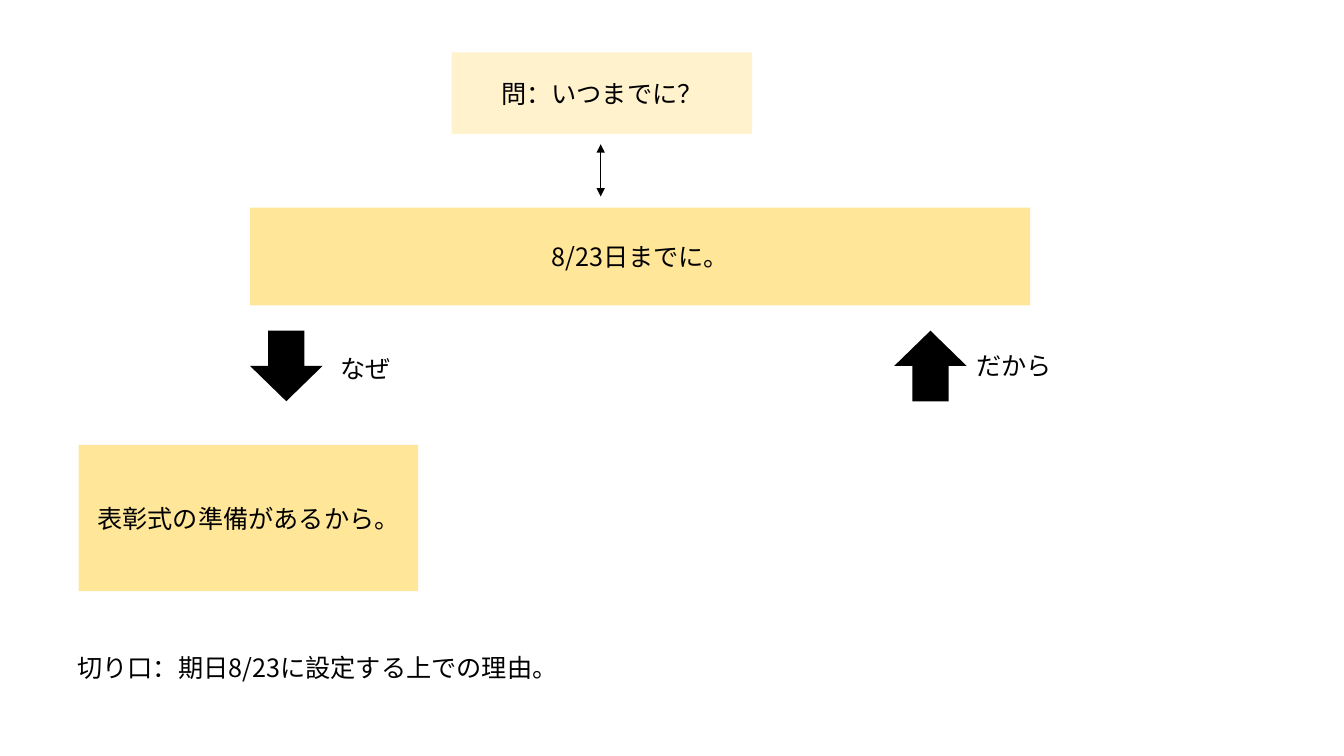
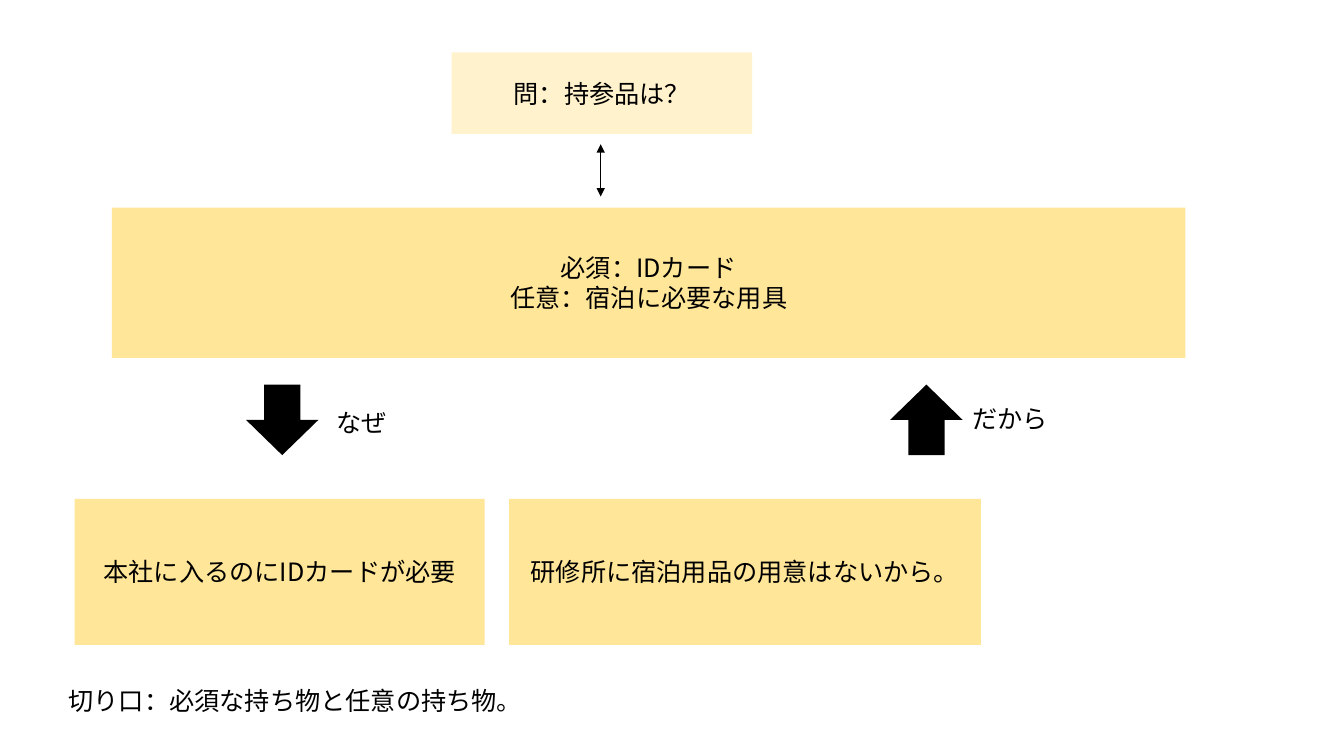
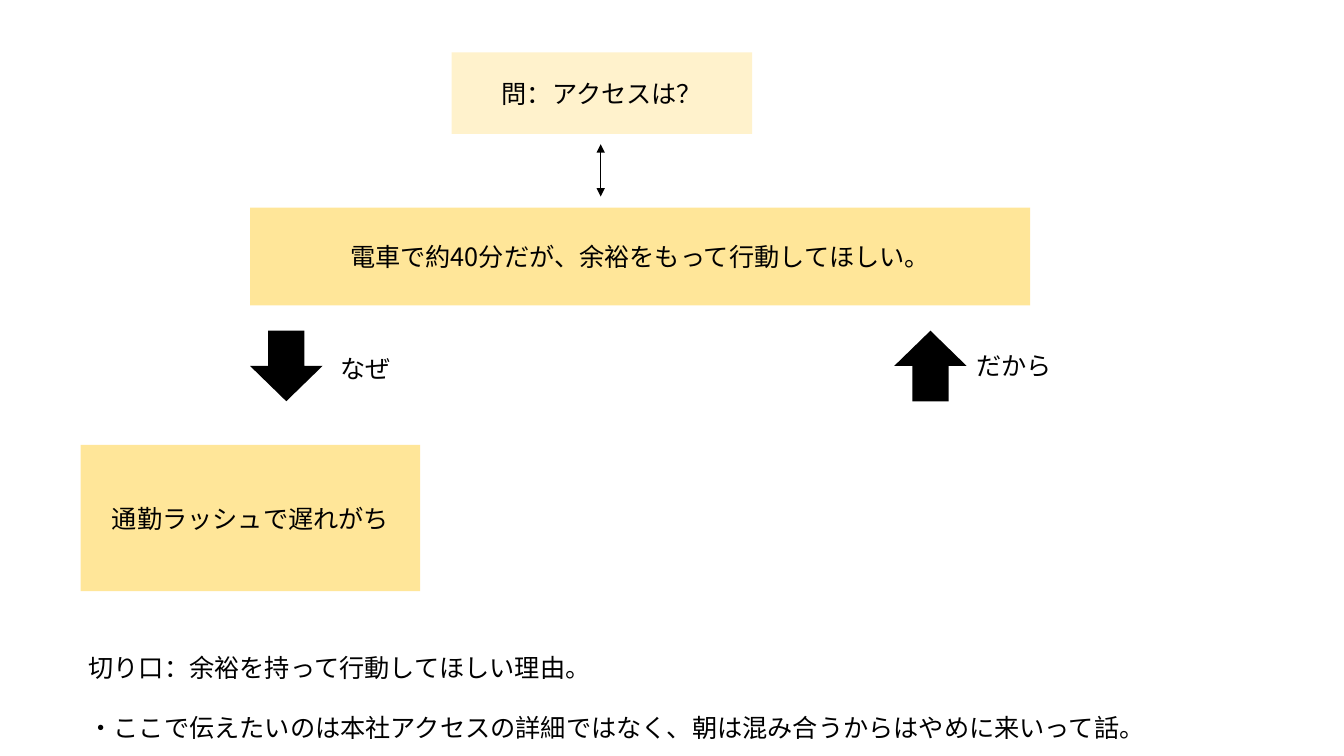
from lxml import etree
from pptx import Presentation
from pptx.dml.color import RGBColor
from pptx.enum.shapes import MSO_CONNECTOR, MSO_SHAPE
from pptx.enum.text import MSO_ANCHOR, PP_ALIGN
from pptx.oxml.ns import qn
from pptx.util import Pt

LINE = MSO_CONNECTOR.STRAIGHT
RECT, DOWN = MSO_SHAPE.RECTANGLE, MSO_SHAPE.DOWN_ARROW
TOP, MIDDLE = MSO_ANCHOR.TOP, MSO_ANCHOR.MIDDLE
LEFT, CENTER = PP_ALIGN.LEFT, PP_ALIGN.CENTER

FONT = "Noto Sans CJK JP"
COLORS = {"ink": "000000", "ask": "FFF2CC", "box": "FFE699"}
SIZE = 18
GAP = 21.6
INK = RGBColor.from_string(COLORS["ink"])


def add_shape(slide, kind, box, color, turn=0):
    """Add a plain filled shape without outline or shadow."""
    shape = slide.shapes.add_shape(kind, *map(Pt, box))
    shape.shadow.inherit = False
    shape.fill.solid()
    shape.fill.fore_color.rgb = RGBColor.from_string(COLORS[color])
    shape.line.fill.background()
    shape.rotation = turn
    return shape


def add_text(slide, text, box, fill=None, align=LEFT, anchor=TOP, gap=0):
    """Write text, one paragraph a line, in a filled box or a text box."""
    if fill:
        shape = add_shape(slide, RECT, box, fill)
    else:
        shape = slide.shapes.add_textbox(*map(Pt, box))
    frame = shape.text_frame
    frame.word_wrap = True
    frame.vertical_anchor = anchor
    frame.text = text
    for row, para in enumerate(frame.paragraphs):
        para.alignment = align
        if row and gap:
            para.space_before = Pt(gap)
        for run in para.runs:
            run.font.size = Pt(SIZE)
            run.font.name = FONT
            run.font.color.rgb = INK
            asian = etree.SubElement(run.font._element, qn("a:ea"))
            asian.set("typeface", FONT)


# Each answer is (left, width, height), each reason (text, left, width),
# and each note (text, left, top, width, height).
PAGES = [
    {"ask": "問：いつまでに？",
     "answer": "8/23日までに。", "span": (178.6, 557.3, 69.8),
     "arrow": (178.6, 236.2),
     "reasons": [("表彰式の準備があるから。", 56.2, 242.6)],
     "note": ("切り口：期日8/23に設定する上での理由。", 48.2, 462.2, 532.8, 28.8)},
    {"ask": "問：持参品は？",
     "answer": "必須：IDカード\n任意：宿泊に必要な用具", "span": (79.9, 766.8, 107.3),
     "arrow": (175.7, 274.7),
     "reasons": [("本社に入るのにIDカードが必要", 53.3, 293),
                 ("研修所に宿泊用品の用意はないから。", 363.6, 337)],
     "note": ("切り口：必須な持ち物と任意の持ち物。", 41.8, 486, 532.8, 28.8)},
    {"ask": "問：アクセスは？",
     "answer": "電車で約40分だが、余裕をもって行動してほしい。",
     "span": (178.6, 557.3, 69.8),
     "arrow": (178.6, 236.2),
     "reasons": [("通勤ラッシュで遅れがち", 57.6, 242.6)],
     "note": ("切り口：余裕を持って行動してほしい理由。\n"
              "・ここで伝えたいのは本社アクセスの詳細ではなく、"
              "朝は混み合うからはやめに来いって話。", 56.2, 462.2, 794.2, 72.7)},
]

deck = Presentation()
deck.slide_width, deck.slide_height = Pt(960), Pt(540)
blank = deck.slide_layouts[6]

for page in PAGES:
    slide = deck.slides.add_slide(blank)
    mid = {"align": CENTER, "anchor": MIDDLE}

    # Question and answer, joined by a double arrow
    add_text(slide, page["ask"], (322.6, 37.4, 214.6, 58.3), fill="ask", **mid)
    link = slide.shapes.add_connector(LINE, Pt(429.1), Pt(103), Pt(429.1), Pt(140.4))
    link.line.color.rgb = INK
    link.line.width = Pt(0.5)
    stroke = link.line._get_or_add_ln()
    for end in ("a:headEnd", "a:tailEnd"):
        etree.SubElement(stroke, qn(end)).set("type", "triangle")
    etree.SubElement(link._element.spPr, qn("a:effectLst"))
    left, width, height = page["span"]
    add_text(slide, page["answer"], (left, 148.3, width, height), fill="box", **mid)

    # Why goes down, therefore comes back up
    left, top = page["arrow"]
    for word, step, drop, width, turn in (("なぜ", 0, 12.4, 51.8, 0),
                                          ("だから", 460.1, 10.2, 116.6, 180)):
        add_shape(slide, DOWN, (left + step, top, 51.8, 50.4), "ink", turn)
        shift = 51.8 if turn else 57.6
        add_text(slide, word, (left + step + shift, top + drop, width, 28.8))

    # Reasons and the note below them
    for text, start, width in page["reasons"]:
        add_text(slide, text, (start, top + 81.6, width, 104.4), fill="box", **mid)
    text, *box = page["note"]
    add_text(slide, text, box, gap=GAP)

deck.save("out.pptx")
